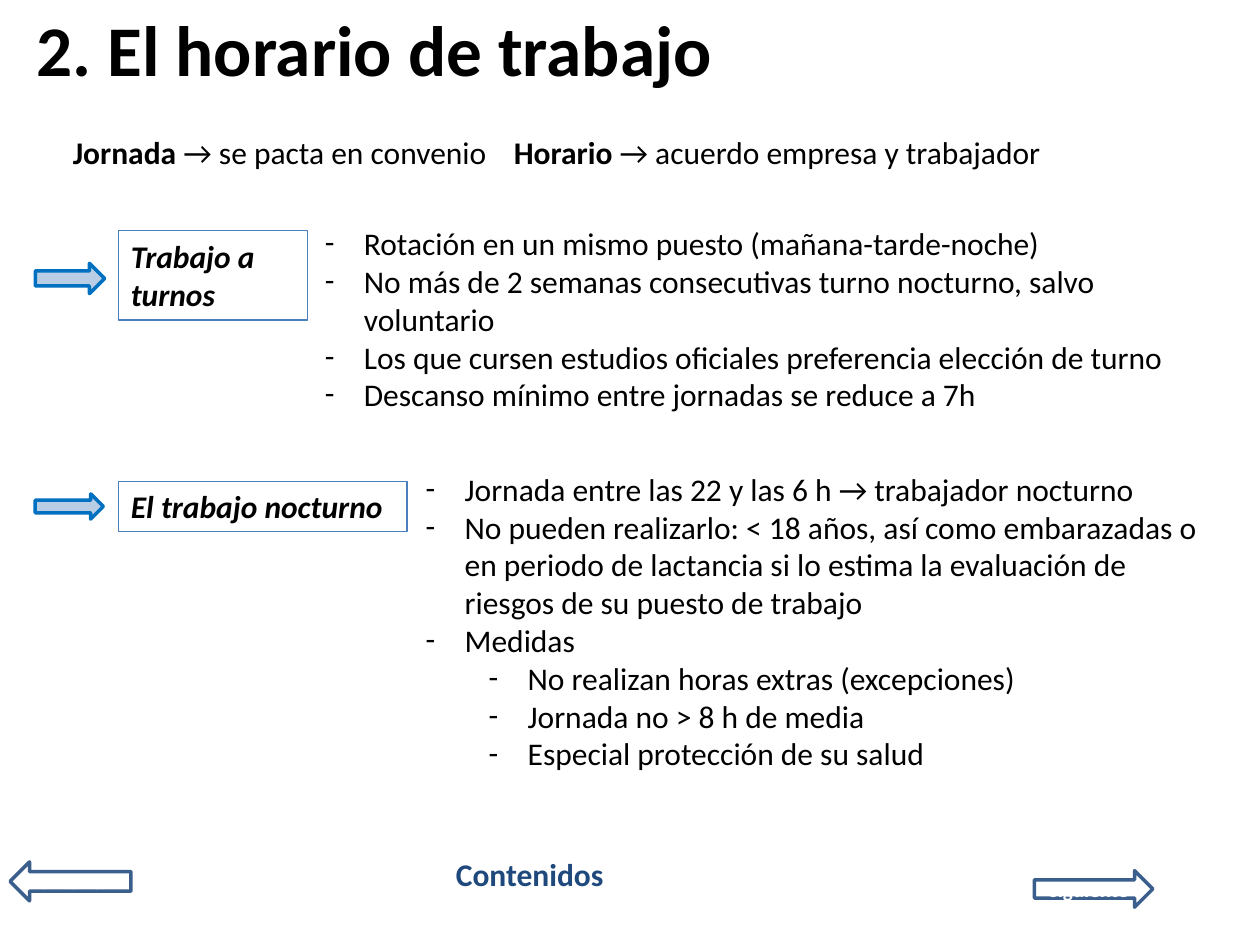
from typing import NamedTuple

from lxml import etree
from pptx import Presentation
from pptx import util as u
from pptx.dml.color import RGBColor
from pptx.enum import shapes, text
from pptx.oxml.ns import qn

EMU_PER_PX = 9144
FONT = "Calibri"
BLACK = RGBColor(0x00, 0x00, 0x00)
WHITE = RGBColor(0xFF, 0xFF, 0xFF)
NAVY = RGBColor(0x1F, 0x49, 0x7D)
PALE_BLUE = RGBColor(0xB9, 0xCD, 0xE5)
BRIGHT_BLUE = RGBColor(0x00, 0x70, 0xC0)
FRAME_BLUE = RGBColor(0x4B, 0x7E, 0xBC)
ARROW_BLUE = RGBColor(0x3A, 0x5F, 0x8C)
BULLET_INDENT = 31
LEVEL_INDENT = 50


class Box(NamedTuple):
    left: int
    top: int
    width: int
    height: int


class Style(NamedTuple):
    size: float = 18
    color: RGBColor = BLACK
    bold: bool = False
    italic: bool = False


class Item(NamedTuple):
    words: str
    level: int = 0


class Topic(NamedTuple):
    arrow: Box
    name: str
    frame: Box
    details: Box
    items: tuple[Item, ...]


class Navigation(NamedTuple):
    kind: shapes.MSO_SHAPE
    box: Box
    label: str


BODY = Style()
STRONG = Style(bold=True)
TOPIC_NAME = Style(bold=True, italic=True)
TITLE = Style(size=40.7, bold=True)
CONTENTS = Style(color=NAVY, bold=True)
NAVIGATION = Style(size=12, color=WHITE, bold=True)

TOPICS = (
    Topic(
        Box(28, 209, 55, 24), "Trabajo a turnos", Box(94, 183, 150, 71), Box(248, 173, 720, 162),
        (
            Item("Rotación en un mismo puesto (mañana-tarde-noche)"),
            Item("No más de 2 semanas consecutivas turno nocturno, salvo voluntario"),
            Item("Los que cursen estudios oficiales preferencia elección de turno"),
            Item("Descanso mínimo entre jornadas se reduce a 7h"),
        ),
    ),
    Topic(
        Box(28, 392, 54, 20), "El trabajo nocturno", Box(94, 382, 229, 40), Box(328, 368, 644, 252),
        (
            Item("Jornada entre las 22 y las 6 h → trabajador nocturno"),
            Item("No pueden realizarlo: < 18 años, así como embarazadas o en periodo de lactancia "
                 "si lo estima la evaluación de riesgos de su puesto de trabajo"),
            Item("Medidas"),
            Item("No realizan horas extras (excepciones)", 1),
            Item("Jornada no > 8 h de media", 1),
            Item("Especial protección de su salud", 1),
        ),
    ),
)
NAVIGATION_ARROWS = (
    Navigation(shapes.MSO_SHAPE.LEFT_ARROW, Box(8, 684, 96, 31), "anterior"),
    Navigation(shapes.MSO_SHAPE.RIGHT_ARROW, Box(821, 691, 94, 29), "siguiente"),
)
SUMMARY = (
    ("Jornada", STRONG),
    (" → se pacta en convenio \t", BODY),
    ("Horario", STRONG),
    (" → acuerdo empresa y trabajador", BODY),
)


def px(length: int) -> u.Emu:
    return u.Emu(length * EMU_PER_PX)


def place(box: Box) -> list[u.Emu]:
    return [px(length) for length in box]


def add_run(paragraph, words: str, style: Style) -> None:
    run = paragraph.add_run()
    run.text = words
    run.font.name = FONT
    run.font.size = u.Pt(style.size)
    run.font.color.rgb = style.color
    run.font.bold = style.bold
    run.font.italic = style.italic


def add_text_box(slide, box: Box, runs=(), grow: bool = True):
    frame = slide.shapes.add_textbox(*place(box)).text_frame
    frame.word_wrap = True
    if grow:
        frame.auto_size = text.MSO_AUTO_SIZE.SHAPE_TO_FIT_TEXT
    for words, style in runs:
        add_run(frame.paragraphs[0], words, style)
    return frame


def add_outlined(slide, kind: shapes.MSO_SHAPE, box: Box, line: RGBColor, width: float,
                 fill: RGBColor | None = None):
    shape = slide.shapes.add_shape(kind, *place(box))
    shape.shadow.inherit = False
    if fill is None:
        shape.fill.background()
    else:
        shape.fill.solid()
        shape.fill.fore_color.rgb = fill
    shape.line.color.rgb = line
    shape.line.width = u.Pt(width)
    return shape


def add_dash(paragraph, level: int) -> None:
    paragraph.level = level
    properties = paragraph._p.get_or_add_pPr()
    properties.set("marL", str(px(BULLET_INDENT + level * LEVEL_INDENT)))
    properties.set("indent", str(px(-BULLET_INDENT)))
    etree.SubElement(properties, qn("a:buFont"), typeface=FONT)
    etree.SubElement(properties, qn("a:buChar"), char="-")


def add_topic(slide, topic: Topic) -> None:
    add_outlined(slide, shapes.MSO_SHAPE.RIGHT_ARROW, topic.arrow, BRIGHT_BLUE, 2, PALE_BLUE)
    name = add_outlined(slide, shapes.MSO_SHAPE.RECTANGLE, topic.frame, FRAME_BLUE, 0.75).text_frame
    name.auto_size = text.MSO_AUTO_SIZE.SHAPE_TO_FIT_TEXT
    name.vertical_anchor = text.MSO_ANCHOR.TOP
    name.paragraphs[0].alignment = text.PP_ALIGN.LEFT
    add_run(name.paragraphs[0], topic.name, TOPIC_NAME)
    details = add_text_box(slide, topic.details)
    for index, item in enumerate(topic.items):
        paragraph = details.add_paragraph() if index else details.paragraphs[0]
        add_dash(paragraph, item.level)
        add_run(paragraph, item.words, BODY)


def add_navigation(slide, navigation: Navigation) -> None:
    arrow = add_outlined(slide, navigation.kind, navigation.box, ARROW_BLUE, 2)
    paragraph = arrow.text_frame.paragraphs[0]
    paragraph.alignment = text.PP_ALIGN.CENTER
    add_run(paragraph, navigation.label, NAVIGATION)


def main() -> None:
    presentation = Presentation()
    presentation.slide_width = px(1000)
    presentation.slide_height = px(750)
    slide = presentation.slides.add_slide(presentation.slide_layouts[6])
    title = add_text_box(slide, Box(19, 0, 900, 76), [("2. El horario de trabajo", TITLE)], grow=False)
    title.vertical_anchor = text.MSO_ANCHOR.MIDDLE
    add_text_box(slide, Box(48, 101, 896, 40), SUMMARY)
    for topic in TOPICS:
        add_topic(slide, topic)
    add_text_box(slide, Box(352, 674, 144, 40), [("Contenidos", CONTENTS)])
    for navigation in NAVIGATION_ARROWS:
        add_navigation(slide, navigation)
    presentation.save("out.pptx")


if __name__ == "__main__":
    main()
